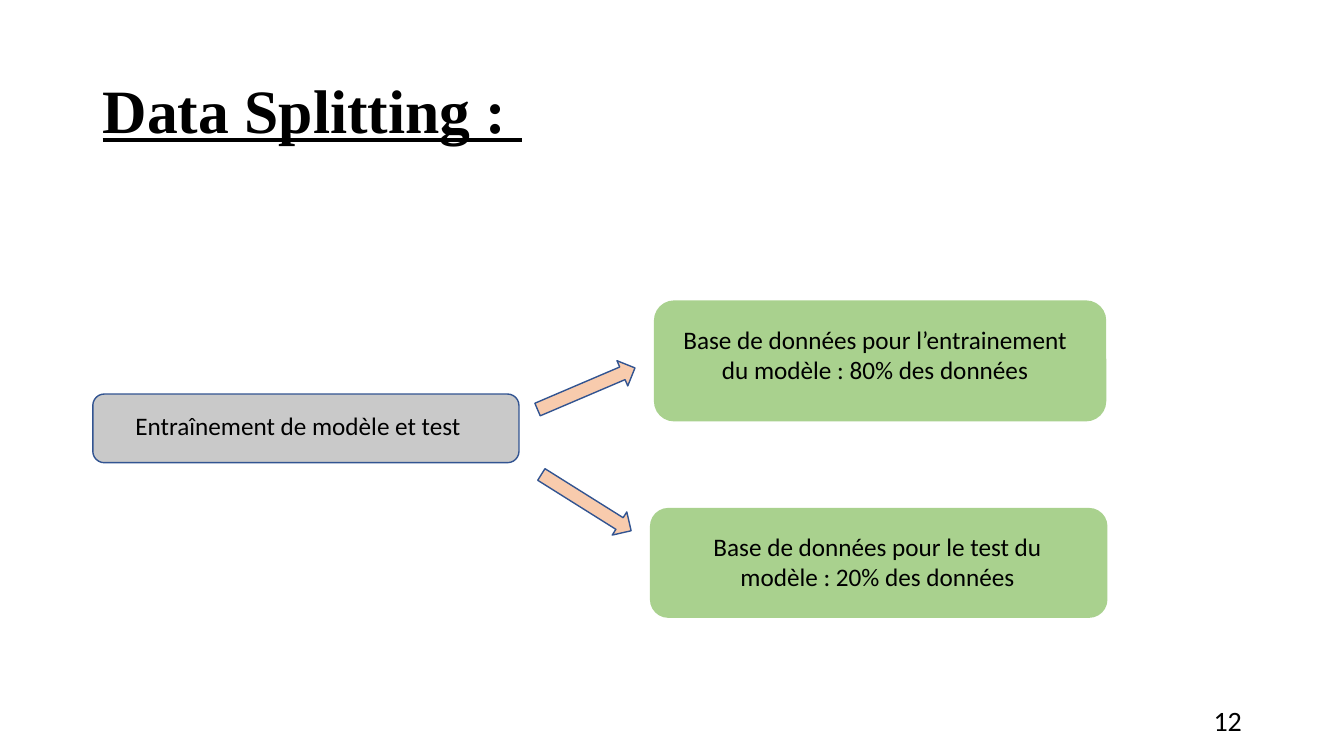
"""Build the slide on splitting data into training and test sets."""
import pptx
import pptx.util
import pptx.dml.color
import pptx.enum.shapes
import pptx.enum.text

Cm = pptx.util.Cm
Pt = pptx.util.Pt
RGBColor = pptx.dml.color.RGBColor
Kind = pptx.enum.shapes.MSO_SHAPE
Align = pptx.enum.text.PP_ALIGN
Anchor = pptx.enum.text.MSO_ANCHOR

BLACK = RGBColor(0x00, 0x00, 0x00)
GREY = RGBColor(0xC9, 0xC9, 0xC9)
GREEN = RGBColor(0xA9, 0xD1, 0x8E)
PEACH = RGBColor(0xF8, 0xCB, 0xAD)
BLUE = RGBColor(0x32, 0x54, 0x91)


def add_form(kind, place, fill, line=None, turn=0):
    form = slide.shapes.add_shape(kind, *map(Cm, place))
    form.shadow.inherit = False
    form.rotation = turn
    form.fill.solid()
    form.fill.fore_color.rgb = fill
    if line is None:
        form.line.fill.background()
    else:
        form.line.color.rgb = line
        form.line.width = Pt(1)


def add_text(text, place, size, align, anchor, face="Calibri"):
    frame = slide.shapes.add_textbox(*map(Cm, place)).text_frame
    frame.word_wrap = True
    frame.vertical_anchor = anchor
    para = frame.paragraphs[0]
    para.alignment = align
    run = para.add_run()
    run.text = text
    run.font.name = face
    run.font.size = Pt(size)
    run.font.color.rgb = BLACK
    return para


deck = pptx.Presentation()
deck.slide_width = Cm(33.87)
deck.slide_height = Cm(19.05)
slide = deck.slides.add_slide(deck.slide_layouts[6])

title = add_text("Data Splitting : ", (2.34, 1.02, 29.21, 3.68), 44,
                 Align.LEFT, Anchor.MIDDLE, "Times New Roman")
title.line_spacing = 0.9
title.runs[0].font.bold = True
title.runs[0].font.underline = True

add_text("12", (23.93, 17.65, 7.62, 1.02), 20, Align.RIGHT, Anchor.MIDDLE)

boxes = [
    ("Entraînement de modèle et test ", GREY, BLUE,
     (2.34, 9.93, 10.74, 1.73), (2.34, 10.21, 10.49, 1.02)),
    ("Base de données pour l’entrainement du modèle : 80% des données", GREEN, None,
     (16.48, 7.57, 11.4, 3.05), (16.81, 8.05, 10.49, 1.8)),
    ("Base de données pour le test du modèle : 20% des données", GREEN, None,
     (16.38, 12.8, 11.53, 2.77), (16.87, 13.26, 10.49, 1.8)),
]
for text, fill, line, place, inner in boxes:
    add_form(Kind.ROUNDED_RECTANGLE, place, fill, line)
    add_text(text, inner, 18, Align.CENTER, Anchor.TOP)

for top, turn in ((8.46, 246.9), (11.33, 302.1)):
    add_form(Kind.DOWN_ARROW, (14.43, top, 0.69, 2.67), PEACH, BLUE, turn)

deck.save("out.pptx")
